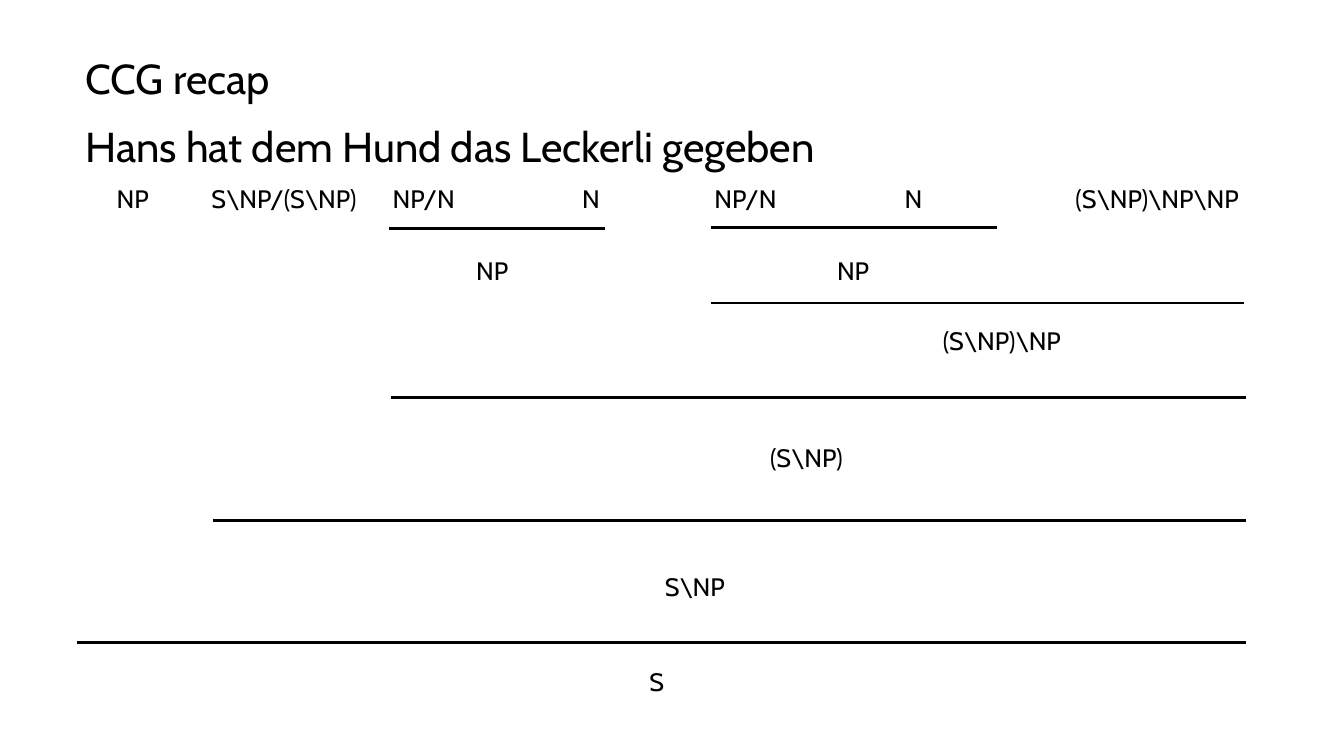
from typing import NamedTuple

import pptx
import pptx.dml.color
import pptx.enum.shapes
import pptx.enum.text
import pptx.oxml.ns
import pptx.slide
import pptx.util
from lxml import etree
from pptx.util import Inches

ALIGN = pptx.enum.text.PP_ALIGN
INK = "000000"
LEXICAL_TOP = 2.66
LABEL_HEIGHT = 0.51


class Category(NamedTuple):
    text: str
    left: float
    width: float = 1.03
    top: float = LEXICAL_TOP


class Step(NamedTuple):
    """One derivation step: a rule line and the category below it."""
    start: float
    end: float
    y: float
    result: Category


LEXICON = [
    Category("NP", 1.46),
    Category(r"S\NP/(S\NP)", 3.14, 2.17),
    Category("NP/N", 5.79),
    Category("N", 8.28),
    Category("NP/N", 10.58),
    Category("N", 13.08),
    Category(r"(S\NP)\NP\NP", 15.74, 2.96),
]

STEPS = [
    Step(5.79, 9.01, 3.4, Category("NP", 6.81, top=3.72)),
    Step(10.58, 14.83, 3.38, Category("NP", 12.18, top=3.72)),
    Step(10.58, 18.51, 4.51, Category(r"(S\NP)\NP", 13.43, 2.96, 4.77)),
    Step(5.82, 18.54, 5.92, Category(r"(S\NP)", 10.52, 2.96, 6.51)),
    Step(3.17, 18.54, 7.75, Category(r"S\NP", 9.89, 0.9, 8.42)),
    Step(1.15, 18.54, 9.56, Category("S", 9.66, 0.23, 9.84)),
]


def colour(value: str) -> pptx.dml.color.RGBColor:
    return pptx.dml.color.RGBColor.from_string(value)


def add_text(slide: pptx.slide.Slide, text: str, left: float, top: float,
             width: float, height: float, *, size: float = 27,
             spacing: float = 37.8, align: ALIGN = ALIGN.CENTER,
             wrap: bool = False) -> None:
    frame = slide.shapes.add_textbox(
        Inches(left), Inches(top), Inches(width), Inches(height)).text_frame
    frame.margin_left = frame.margin_right = 0
    frame.margin_top = frame.margin_bottom = 0
    frame.word_wrap = wrap
    paragraph = frame.paragraphs[0]
    paragraph.alignment = align
    paragraph.line_spacing = pptx.util.Pt(spacing)
    run = paragraph.add_run()
    run.text = text
    run.font.name = "Cabin"
    run.font.size = pptx.util.Pt(size)
    run.font.color.rgb = colour(INK)


def add_category(slide: pptx.slide.Slide, category: Category) -> None:
    add_text(slide, category.text, category.left, category.top,
             category.width, LABEL_HEIGHT)


def add_step(slide: pptx.slide.Slide, step: Step) -> None:
    rule = slide.shapes.add_connector(
        pptx.enum.shapes.MSO_CONNECTOR.STRAIGHT,
        Inches(step.start), Inches(step.y), Inches(step.end), Inches(step.y))
    rule.line.color.rgb = colour(INK)
    rule.line.width = pptx.util.Pt(3)
    etree.SubElement(rule._element.spPr, pptx.oxml.ns.qn("a:effectLst"))
    add_category(slide, step.result)


def main() -> None:
    deck = pptx.Presentation()
    deck.slide_width, deck.slide_height = Inches(20), Inches(11.25)
    slide = deck.slides.add_slide(deck.slide_layouts[6])

    add_text(slide, "CCG recap", 1.06, 0.66, 3.17, 0.83,
             size=44.8, spacing=62.6)
    add_text(slide, "Hans hat dem Hund das Leckerli gegeben",
             1.27, 1.68, 17.24, 0.83, size=44.8, spacing=62.6,
             align=ALIGN.JUSTIFY, wrap=True)
    for category in LEXICON:
        add_category(slide, category)
    for step in STEPS:
        add_step(slide, step)
    deck.save("out.pptx")


if __name__ == "__main__":
    main()
